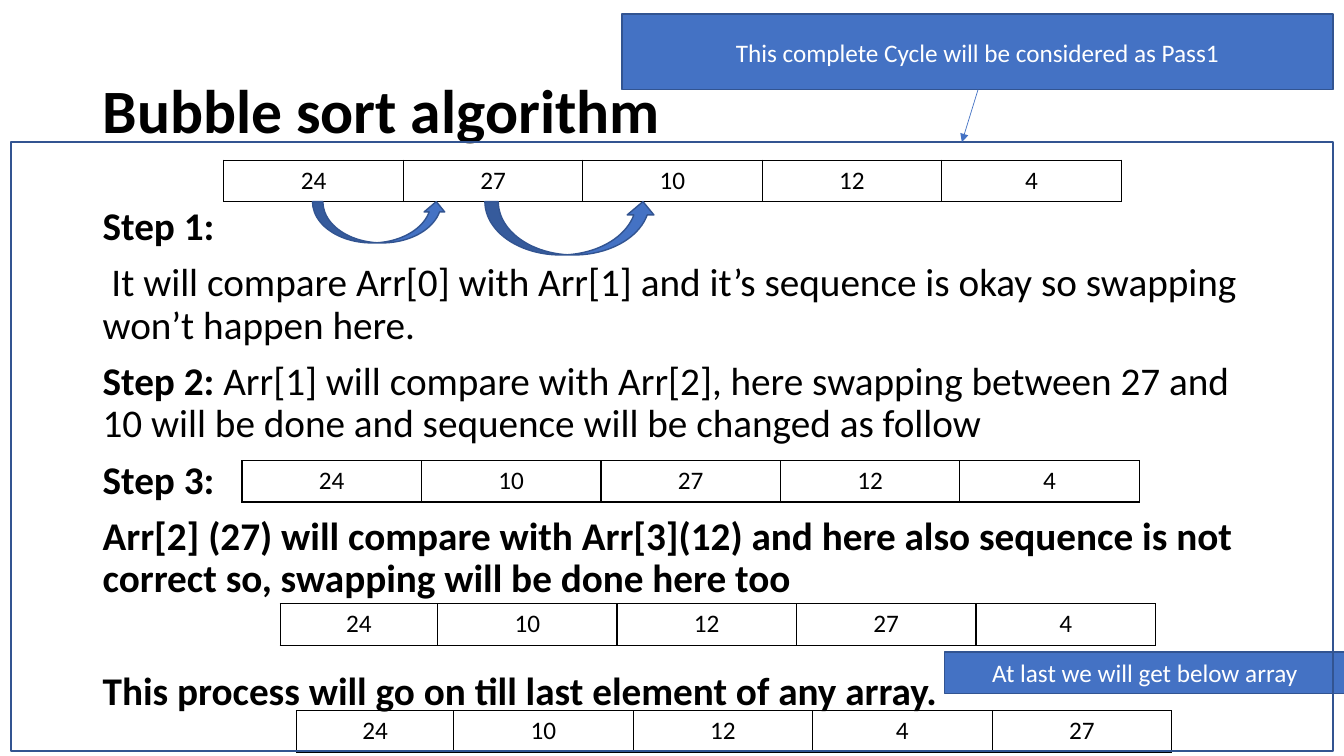
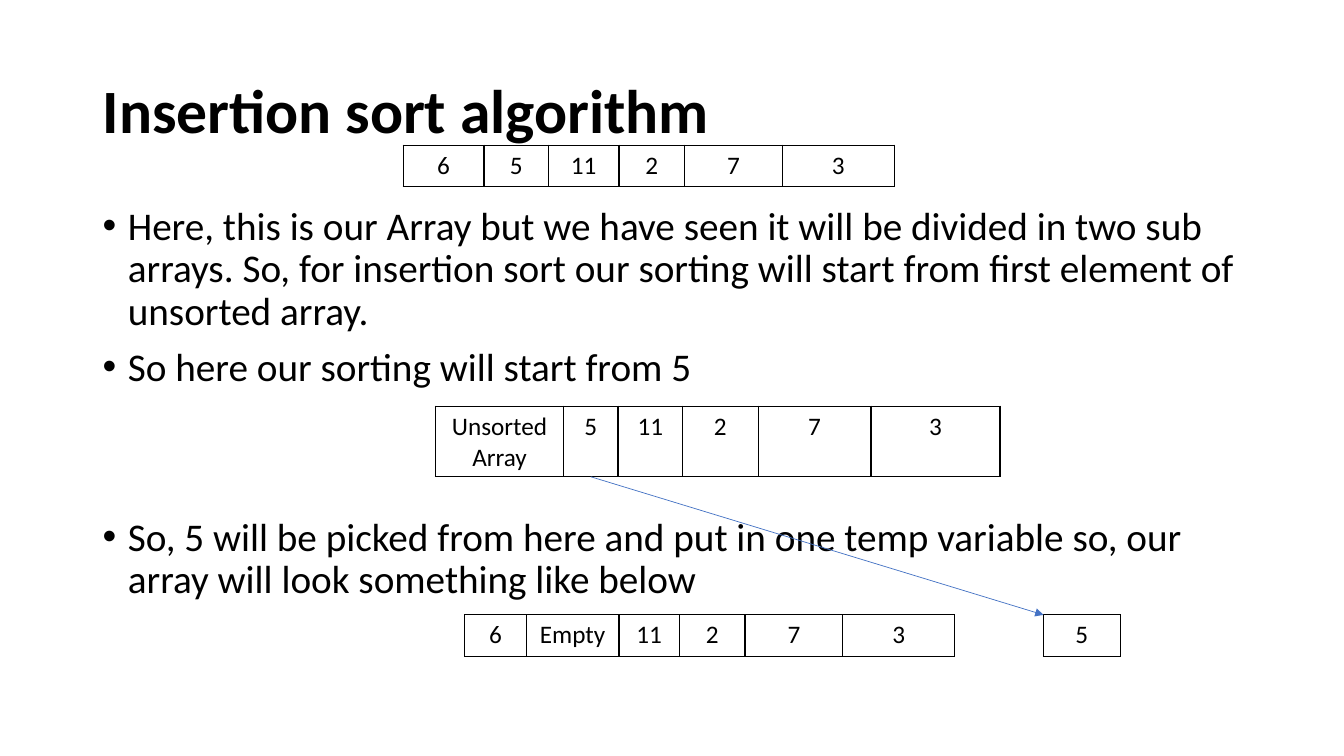
from lxml.etree import SubElement
from pptx import Presentation
from pptx.dml.color import RGBColor
from pptx.enum.shapes import MSO_CONNECTOR, MSO_SHAPE
from pptx.enum.text import MSO_ANCHOR, PP_ALIGN
from pptx.oxml.ns import qn
from pptx.util import Inches, Pt

COLORS = {"ink": "000000", "accent": "4472C4", "edge": "325491", "light": "FFFFFF"}
FONT = "Calibri"
CELL_HEIGHT = 0.41


def color(name):
    return RGBColor.from_string(COLORS[name])


class Deck:
    def __init__(self):
        self.presentation = Presentation()
        self.presentation.slide_width = Inches(13.33)
        self.presentation.slide_height = Inches(7.5)
        self.slide = None

    def new_slide(self, title):
        self.slide = self.presentation.slides.add_slide(self.presentation.slide_layouts[6])
        heading = self.frame(0.92, 0.4, 11.5, 1.45)
        heading.vertical_anchor = MSO_ANCHOR.MIDDLE
        heading.text = title
        heading.paragraphs[0].line_spacing = 0.9
        self.style(heading.paragraphs[0], 44, bold=True)

    def frame(self, left, top, width, height):
        box = self.slide.shapes.add_textbox(*map(Inches, (left, top, width, height)))
        box.text_frame.word_wrap = True
        return box.text_frame

    def style(self, paragraph, size, ink="ink", bold=None):
        font = paragraph.font
        font.name, font.size, font.bold = FONT, Pt(size), bold
        font.color.rgb = color(ink)

    def body(self, height, items, bulleted=False):
        frame = self.frame(0.92, 2, 11.5, height)
        for index, (space, runs) in enumerate(items):
            paragraph = frame.paragraphs[0] if index == 0 else frame.add_paragraph()
            paragraph.line_spacing = 0.9
            if index:
                paragraph.space_before = Pt(space)
            if bulleted:
                self.bullet(paragraph)
            weights = {bold for _, bold in runs}
            self.style(paragraph, 28, bold=weights.pop() if len(weights) == 1 else None)
            for text, bold in runs:
                run = paragraph.add_run()
                run.text = text
                if weights:
                    run.font.bold = bold

    def bullet(self, paragraph):
        properties = paragraph._p.get_or_add_pPr()
        properties.set("marL", str(Inches(0.25)))
        properties.set("indent", str(Inches(-0.25)))
        SubElement(properties, qn("a:buFont"), typeface="Arial")
        SubElement(properties, qn("a:buChar"), char="•")

    def array(self, left, top, values, widths, height=CELL_HEIGHT):
        table = self.slide.shapes.add_table(
            1, len(values), *map(Inches, (left, top, sum(widths), height))).table
        table.first_row = table.horz_banding = False
        for column, width in zip(table.columns, widths):
            column.width = Inches(width)
        for cell, value in zip(table.rows[0].cells, values):
            self.border(cell)
            cell.fill.background()
            cell.text = value
            for paragraph in cell.text_frame.paragraphs:
                paragraph.alignment = PP_ALIGN.CENTER
                self.style(paragraph, 18)

    def border(self, cell):
        properties = cell._tc.get_or_add_tcPr()
        for side in ("a:lnL", "a:lnR", "a:lnT", "a:lnB"):
            line = SubElement(properties, qn(side), w=str(Pt(1)))
            fill = SubElement(line, qn("a:solidFill"))
            SubElement(fill, qn("a:srgbClr"), val=COLORS["ink"])

    def shape(self, kind, left, top, width, height, filled=True):
        shape = self.slide.shapes.add_shape(kind, *map(Inches, (left, top, width, height)))
        shape.shadow.inherit = False
        if filled:
            shape.fill.solid()
            shape.fill.fore_color.rgb = color("accent")
        else:
            shape.fill.background()
        shape.line.color.rgb = color("edge")
        shape.line.width = Pt(1)
        return shape

    def callout(self, left, top, width, height, text):
        frame = self.shape(MSO_SHAPE.RECTANGLE, left, top, width, height).text_frame
        frame.word_wrap = True
        frame.vertical_anchor = MSO_ANCHOR.MIDDLE
        frame.text = text
        frame.paragraphs[0].alignment = PP_ALIGN.CENTER
        self.style(frame.paragraphs[0], 18, "light")

    def arrow(self, start, end):
        connector = self.slide.shapes.add_connector(
            MSO_CONNECTOR.STRAIGHT, *map(Inches, (*start, *end)))
        connector.line.color.rgb = color("accent")
        connector.line.width = Pt(0.5)
        SubElement(connector.line._get_or_add_ln(), qn("a:tailEnd"), type="triangle")
        SubElement(connector._element.spPr, qn("a:effectLst"))


def bubble_sort(deck):
    deck.new_slide("Bubble sort algorithm")
    deck.body(5.5, [
        (0, [("Step 1:", True)]),
        (10, [(" It will compare Arr[0] with Arr[1] and it’s sequence is okay "
               "so swapping won’t happen here.", False)]),
        (10, [("Step 2: ", True),
              ("Arr[1] will compare with Arr[2], here swapping between 27 and 10 "
               "will be done and sequence will be changed as follow", False)]),
        (10, [("Step 3:", True)]),
        (10, [("Arr[2] (27) will compare with Arr[3](12) and here also sequence is "
               "not correct so, swapping will be done here too", True)]),
        (50.5, [("This process will go on till last element of any array.", True)]),
    ])
    for left, top, values, first_width in (
        (2.22, 1.59, "24 27 10 12 4", 1.78),
        (2.4, 4.57, "24 10 27 12 4", 1.78),
        (2.78, 5.99, "24 10 12 27 4", 1.56),
        (2.94, 7.05, "24 10 12 4 27", 1.56),
    ):
        deck.array(left, top, values.split(), [first_width] + [1.78] * 4)
    deck.shape(MSO_SHAPE.CURVED_UP_ARROW, 3.1, 2, 1.33, 0.41)
    deck.shape(MSO_SHAPE.CURVED_UP_ARROW, 4.81, 2, 1.7, 0.53)
    deck.callout(9.37, 6.47, 3.97, 0.41, "At last we will get below array")
    deck.callout(6.17, 0.14, 7.05, 0.75, "This complete Cycle will be considered as Pass1")
    deck.shape(MSO_SHAPE.RECTANGLE, 0.11, 1.41, 13.11, 6.04, filled=False)
    deck.arrow((9.7, 0.89), (9.54, 1.41))


def insertion_sort(deck):
    deck.new_slide("Insertion sort algorithm")
    deck.body(5.1, [
        (0, [("Here, this is our Array but we have seen it will be divided in two sub "
              "arrays. So, for insertion sort our sorting will start from first element "
              "of unsorted array.", False)]),
        (10, [("So here our sorting will start from 5", False)]),
        (91, [("So, 5 will be picked from here and put in one temp variable so, our "
               "array will look something like below", False)]),
    ], bulleted=True)
    unsorted = ["5", "11", "2", "7", "3"]
    deck.array(4, 1.44, ["6", *unsorted], [0.8, 0.64, 0.7, 0.65, 0.97, 1.11])
    deck.array(4.32, 4.03, ["Unsorted\nArray", *unsorted],
               [1.27, 0.54, 0.64, 0.75, 1.12, 1.28], 0.7)
    deck.array(4.61, 6.1, ["6", "Empty", *unsorted[1:]], [0.61, 0.92, 0.6, 0.65, 0.97, 1.11])
    deck.array(10.35, 6.1, ["5"], [0.76])
    deck.arrow((5.86, 4.73), (10.35, 6.1))


def main():
    deck = Deck()
    bubble_sort(deck)
    insertion_sort(deck)
    deck.presentation.save("out.pptx")


if __name__ == "__main__":
    main()
